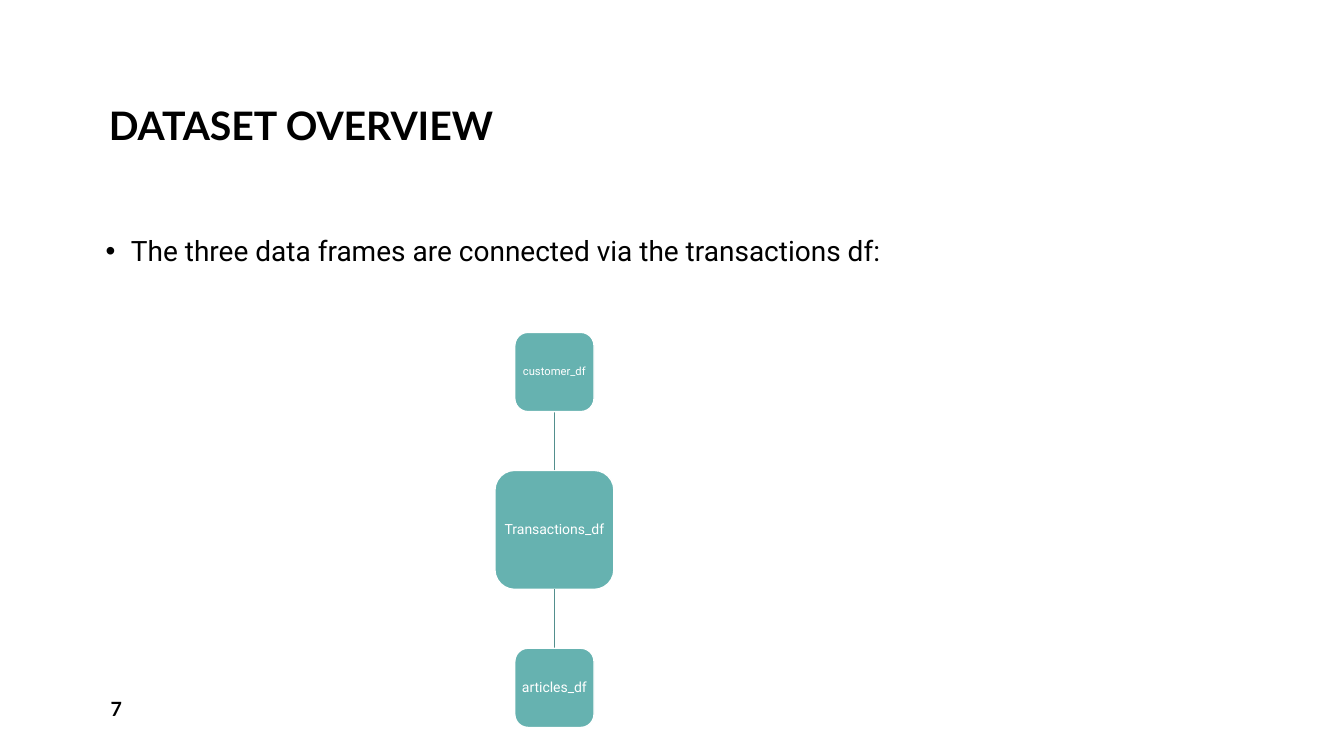
from dataclasses import dataclass

from lxml import etree
from pptx import Presentation
from pptx.dml.color import RGBColor
from pptx.enum import shapes, text
from pptx.oxml import ns
from pptx.util import Pt

BLACK = RGBColor(0x00, 0x00, 0x00)
WHITE = RGBColor(0xFF, 0xFF, 0xFF)
TEAL = RGBColor(0x66, 0xB2, 0xB0)
DARK_TEAL = RGBColor(0x52, 0x8F, 0x8D)

HEADING_FONT = "Lato"
BODY_FONT = "Roboto"

# Diagram geometry, in points
CENTER_X = 396
HUB_Y = 378.5
HUB_SIDE = 85
TABLE_SIDE = 56.6
LINK_LENGTH = 42


@dataclass
class DataFrameNode:
    label: str
    center_y: float
    side: float
    font_size: float


def write(frame, content: str, *, font: str, size: float, color: RGBColor,
          bold: bool = False, anchor=text.MSO_ANCHOR.TOP,
          align=text.PP_ALIGN.LEFT, spacing=None, after: float = 0,
          bullet: bool = False, wrap: bool = True) -> None:
    """Fill a text frame with one formatted paragraph."""
    frame.word_wrap = wrap
    frame.auto_size = text.MSO_AUTO_SIZE.NONE
    frame.vertical_anchor = anchor
    paragraph = frame.paragraphs[0]
    paragraph.text = content
    paragraph.alignment = align
    paragraph.line_spacing = spacing
    paragraph.space_before = Pt(0)
    paragraph.space_after = Pt(after)
    if bullet:
        properties = paragraph._p.get_or_add_pPr()
        properties.set("marL", str(Pt(18)))
        properties.set("indent", str(Pt(-18)))
        etree.SubElement(properties, ns.qn("a:buFont"), typeface="Arial")
        etree.SubElement(properties, ns.qn("a:buChar"), char="•")
    style = paragraph.runs[0].font
    style.name = font
    style.size = Pt(size)
    style.bold = bold
    style.color.rgb = color


def add_node(slide, node: DataFrameNode) -> None:
    box = slide.shapes.add_shape(
        shapes.MSO_SHAPE.ROUNDED_RECTANGLE,
        Pt(CENTER_X - node.side / 2), Pt(node.center_y - node.side / 2),
        Pt(node.side), Pt(node.side))
    box.shadow.inherit = False
    box.fill.solid()
    box.fill.fore_color.rgb = TEAL
    box.line.color.rgb = WHITE
    box.line.width = Pt(1)
    frame = box.text_frame
    frame.margin_left = frame.margin_right = Pt(2)
    frame.margin_top = frame.margin_bottom = Pt(2)
    write(frame, node.label, font=BODY_FONT, size=node.font_size, color=WHITE,
          anchor=text.MSO_ANCHOR.MIDDLE, align=text.PP_ALIGN.CENTER,
          spacing=0.9, wrap=False)


def add_link(slide, start_y: float, end_y: float) -> None:
    link = slide.shapes.add_connector(
        shapes.MSO_CONNECTOR.STRAIGHT,
        Pt(CENTER_X), Pt(start_y), Pt(CENTER_X), Pt(end_y))
    link.line.color.rgb = DARK_TEAL
    link.line.width = Pt(1)
    etree.SubElement(link._element.spPr, ns.qn("a:effectLst"))


def main() -> None:
    deck = Presentation()
    deck.slide_width, deck.slide_height = Pt(960), Pt(540)
    slide = deck.slides.add_slide(deck.slide_layouts[5])

    # Title
    title = slide.shapes.title
    title.left, title.top = Pt(70.5), Pt(5.8)
    title.width, title.height = Pt(653), Pt(104.4)
    write(title.text_frame, "DATASET OVERVIEW", font=HEADING_FONT, size=28,
          color=BLACK, bold=True, anchor=text.MSO_ANCHOR.BOTTOM, spacing=0.9)

    # Statement
    statement = slide.shapes.add_textbox(Pt(68.4), Pt(163.4), Pt(655), Pt(293))
    write(statement.text_frame,
          "The three data frames are connected via the transactions df:",
          font=BODY_FONT, size=20, color=BLACK, spacing=Pt(24), after=12,
          bullet=True)

    # Page number
    page_number = slide.shapes.add_textbox(Pt(72), Pt(491.8), Pt(210), Pt(28.8))
    write(page_number.text_frame, "7", font=HEADING_FONT, size=14, color=BLACK,
          bold=True, anchor=text.MSO_ANCHOR.MIDDLE)

    # Diagram: the hub with one linked table above and one below
    add_node(slide, DataFrameNode("Transactions_df", HUB_Y, HUB_SIDE, 10))
    reach = HUB_SIDE / 2 + LINK_LENGTH
    for label, direction, size in (("customer_df", -1, 8),
                                   ("articles_df", 1, 10)):
        add_link(slide, HUB_Y + direction * HUB_SIDE / 2,
                 HUB_Y + direction * reach)
        center_y = HUB_Y + direction * (reach + TABLE_SIDE / 2)
        add_node(slide, DataFrameNode(label, center_y, TABLE_SIDE, size))

    deck.save("out.pptx")


if __name__ == "__main__":
    main()
